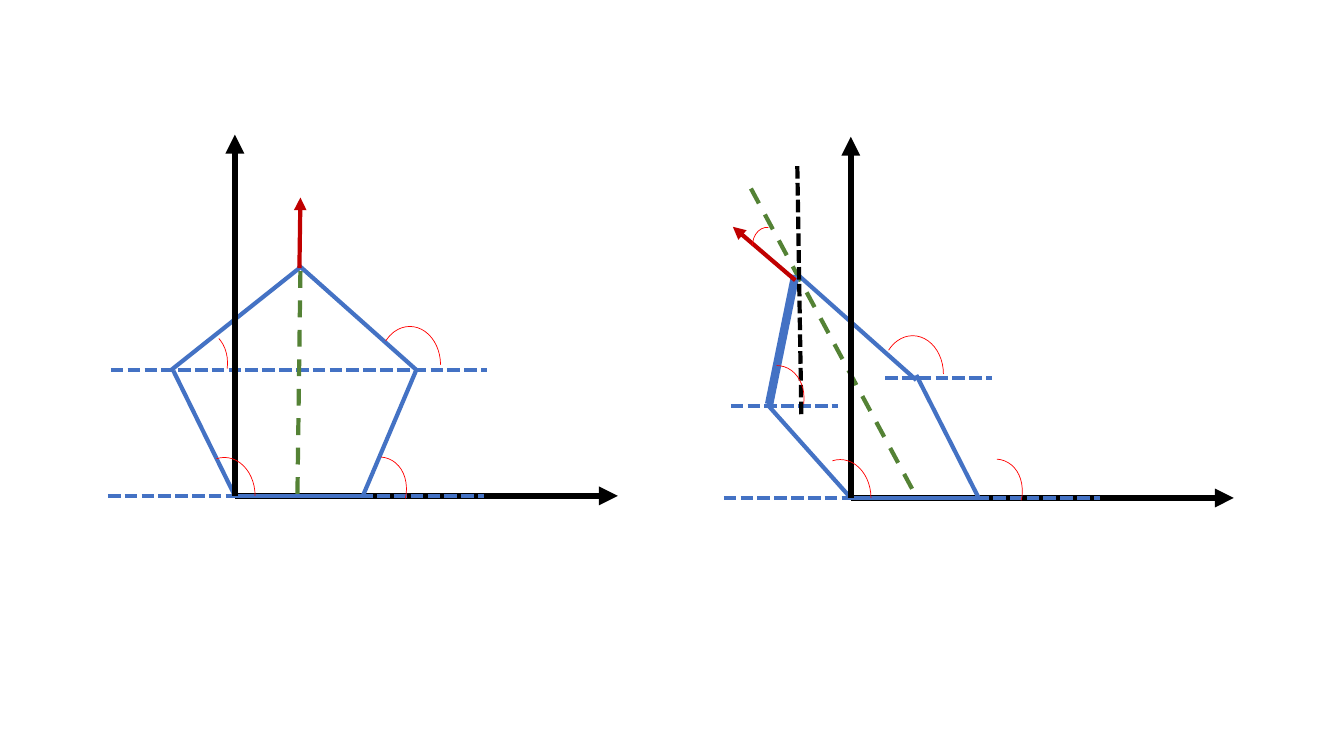
from dataclasses import dataclass

from lxml.etree import SubElement
from pptx import Presentation
from pptx.dml.color import RGBColor
from pptx.enum.dml import MSO_LINE
from pptx.enum.shapes import MSO_CONNECTOR, MSO_SHAPE
from pptx.oxml.ns import qn
from pptx.util import Pt


@dataclass(frozen=True)
class Theme:
    black: RGBColor = RGBColor(0x00, 0x00, 0x00)
    blue: RGBColor = RGBColor(0x44, 0x72, 0xC4)
    green: RGBColor = RGBColor(0x54, 0x82, 0x35)
    dark_red: RGBColor = RGBColor(0xC0, 0x00, 0x00)
    red: RGBColor = RGBColor(0xFF, 0x00, 0x00)


theme = Theme()

# Line formats: colour, width, dash, arrowhead
formats = {
    "axis": (theme.black, 4.5, None, True),
    "link": (theme.blue, 3, None, False),
    "thick link": (theme.blue, 6, None, False),
    "level": (theme.blue, 3, MSO_LINE.SQUARE_DOT, False),
    "vertical": (theme.black, 3, MSO_LINE.SQUARE_DOT, False),
    "median": (theme.green, 3, MSO_LINE.DASH, False),
    "heading": (theme.dark_red, 3, None, True),
}


def add_line(group, origin, style, start, end):
    color, width, dash, arrow = formats[style]
    ends = [Pt(origin[i % 2] + value) for i, value in enumerate(start + end)]
    line = group.shapes.add_connector(MSO_CONNECTOR.STRAIGHT, *ends)
    line.line.color.rgb = color
    line.line.width = Pt(width)
    if dash:
        line.line.dash_style = dash
    properties = line._element.spPr
    if arrow:
        SubElement(properties.find(qn("a:ln")), qn("a:tailEnd"), type="triangle")
    SubElement(properties, qn("a:effectLst"))


def add_angle(group, origin, corner, rotation, start, end, size=(43.9, 54.7)):
    left, top = origin[0] + corner[0], origin[1] + corner[1]
    arc = group.shapes.add_shape(
        MSO_SHAPE.ARC, Pt(left), Pt(top), Pt(size[0]), Pt(size[1])
    )
    arc.rotation = rotation
    arc.adjustments[0], arc.adjustments[1] = start, end
    arc.fill.background()
    arc.line.color.rgb = theme.red
    arc.line.width = Pt(0.5)
    arc.shadow.inherit = False


# Both linkages, in points from their own origin, y downwards
linkages = [
    {
        "origin": (167.8, 354.2),
        "behind": [],
        "links": [
            ("link", (-43.9, -89.3), (0, 0)),
            ("link", (-45.4, -90), (46.1, -162.7)),
            ("link", (45.4, -164.9), (129.6, -90)),
            ("link", (129.6, -90), (91.4, 0)),
            ("level", (-88.6, -90), (180, -90)),
        ],
        "front": [
            ("heading", (46.1, -162.7), (46.8, -213.1)),
            ("median", (46.8, -160.6), (44.6, 2.9)),
        ],
        "angles": [
            ((-49.7, -118.8), 17.5, 174.18, 206.49),
            ((103, -121), 0, 134.8, 0),
        ],
    },
    {
        "origin": (607.7, 355.7),
        "behind": [("median", (-71.3, -221), (45.4, -3.6))],
        "links": [
            ("link", (-59.8, -67), (0, 0)),
            ("thick link", (-58.3, -67), (-39.6, -159.1)),
            ("link", (-37.4, -159.1), (46.8, -84.2)),
            ("link", (46.8, -87.8), (91.4, 0)),
            ("level", (-85.7, -65.5), (-9.4, -65.5)),
        ],
        "front": [
            ("heading", (-39.6, -155.5), (-84.2, -193.7)),
            ("level", (24.5, -85.7), (100.8, -85.7)),
            ("vertical", (-35.3, -59.8), (-38.2, -239)),
        ],
        "angles": [
            ((-77.8, -95), 17.5, 155.16, 206.49),
            ((22.3, -115.9), 0, 134.8, 0),
            ((-72.7, -190.8), 277.4, 154.83, 0, (24.5, 19.4)),
        ],
    },
]

# Parts that both linkages share
x_axis = ("axis", (0, 0), (273.6, 0))
y_axis = ("axis", (0, 0), (0, -258))
base = ("link", (0, 0), (96, 0))
ground = ("level", (-90.7, 0), (177.8, 0))
base_angles = [
    ((-29.5, -27.4), 0, 154.83, 0),
    ((77.8, -28.4), 21.7, 154.83, 207.36),
]

# Slide
deck = Presentation()
deck.slide_width, deck.slide_height = Pt(960), Pt(540)
page = deck.slides.add_slide(deck.slide_layouts[6])

# Draw each linkage from back to front
for linkage in linkages:
    group = page.shapes.add_group_shape()
    origin = linkage["origin"]
    lines = linkage["behind"] + [x_axis, base] + linkage["links"]
    lines += [ground, y_axis] + linkage["front"]
    for line in lines:
        add_line(group, origin, *line)
    for angle in base_angles + linkage["angles"]:
        add_angle(group, origin, *angle)

deck.save("out.pptx")
